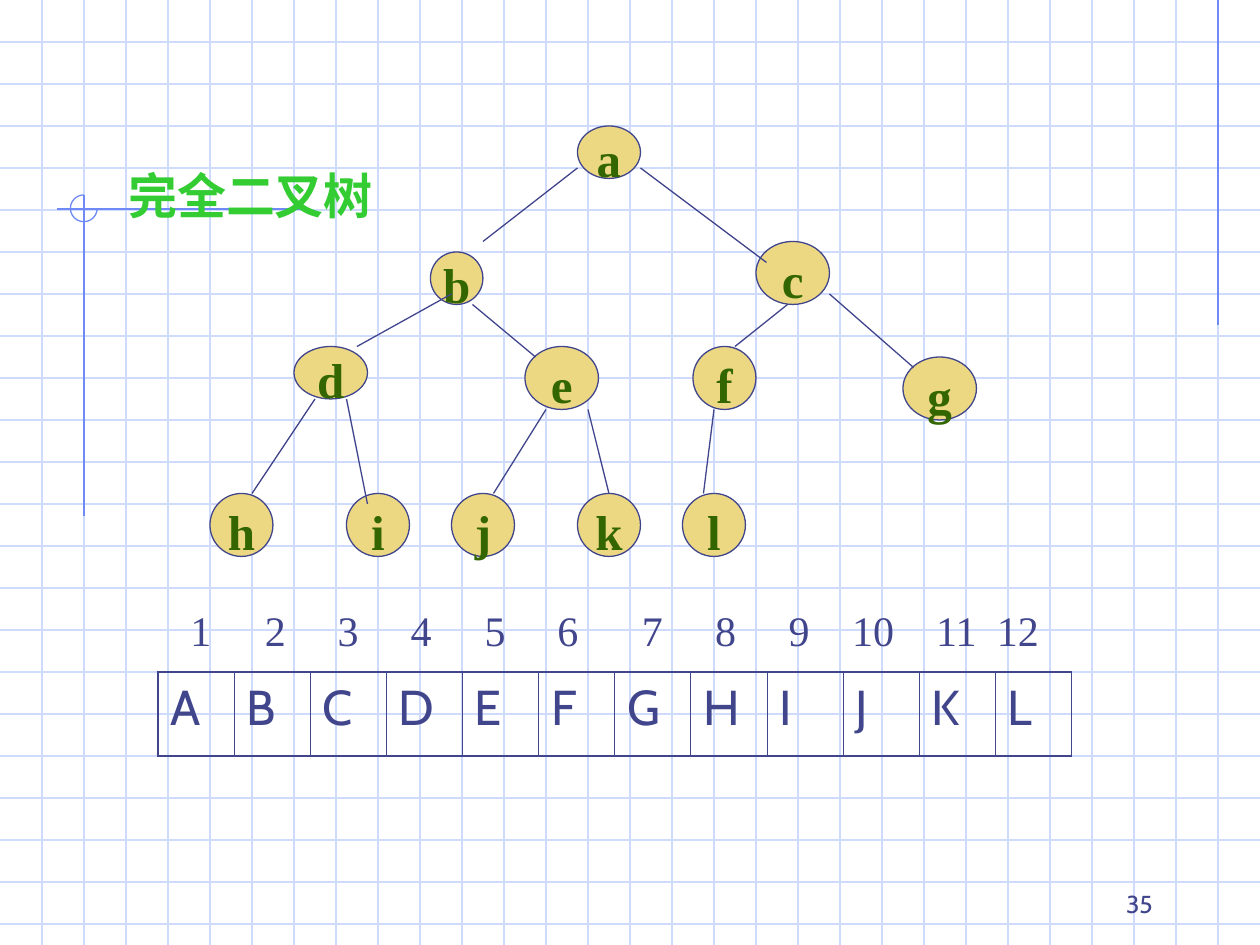
import pptx
import pptx.util
import pptx.oxml
import pptx.oxml.ns
from pptx.dml.color import RGBColor
from pptx.enum.shapes import MSO_CONNECTOR, MSO_SHAPE
from pptx.enum.text import MSO_ANCHOR, MSO_AUTO_SIZE, PP_ALIGN

Cm, Pt = pptx.util.Cm, pptx.util.Pt
C = {"grid": "CFDBFD", "accent": "6F89F7", "ink": "40458C",
     "node": "ECD882", "letter": "336600", "title": "33CC33"}
U = Cm(2.54) / 12  # layout unit: a twelfth of an inch


def put_text(tf, text, size=28, font="Cabin", color="ink", bold=False,
             align=PP_ALIGN.LEFT, anchor=MSO_ANCHOR.TOP, wrap=True, tabs=()):
    tf.auto_size = MSO_AUTO_SIZE.NONE
    tf.word_wrap = wrap
    tf.vertical_anchor = anchor
    p = tf.paragraphs[0]
    p.alignment = align
    p.space_before = Pt(0)
    if tabs:
        tab_list = pptx.oxml.parse_xml(
            f'<a:tabLst {pptx.oxml.ns.nsdecls("a")}>'
            + "".join(f'<a:tab pos="{Cm(t)}" algn="ctr"/>' for t in tabs) + "</a:tabLst>")
        p._p.get_or_add_pPr().append(tab_list)
    r = p.add_run()
    r.text = text
    r.font.size, r.font.name, r.font.bold = Pt(size), font, bold
    r.font.color.rgb = RGBColor.from_string(C[color])


def add_line(x1, y1, x2, y2, color="ink"):
    cn = s.shapes.add_connector(MSO_CONNECTOR.STRAIGHT, *(round(v * U) for v in (x1, y1, x2, y2)))
    cn.line.color.rgb = RGBColor.from_string(C[color])
    cn.line.width = Pt(0.75)
    cn._element.spPr.append(pptx.oxml.parse_xml(f'<a:effectLst {pptx.oxml.ns.nsdecls("a")}/>'))


prs = pptx.Presentation()
prs.slide_width, prs.slide_height = Cm(25.4), Cm(19.05)
s = prs.slides.add_slide(prs.slide_layouts[5])

# Squared-paper background
for y in range(4, 90, 4):
    add_line(0, y, 120, y, "grid")
for x in range(4, 120, 4):
    add_line(x, 0, x, 90, "grid")

# Accent lines and open circle
add_line(116, 0, 116, 31, "accent")
add_line(28.8, 19.9, 5.4, 19.9, "accent")
add_line(8, 18.6, 8, 49.1, "accent")
arc = s.shapes.add_shape(MSO_SHAPE.ARC, Cm(1.42), Cm(3.93), Cm(0.54), Cm(0.54))
arc.adjustments[0], arc.adjustments[1] = 0, 162  # 0 to 270 degrees
arc.shadow.inherit = False
arc.fill.background()
arc.line.color.rgb = RGBColor.from_string(C["accent"])
arc.line.width = Pt(0.75)

# Title, in front of the background
title = s.shapes.title
title.left, title.top, title.width, title.height = Cm(2.33), Cm(3.18), Cm(6.35), Cm(1.48)
put_text(title.text_frame, "完全二叉树", color="title", bold=True, anchor=MSO_ANCHOR.BOTTOM)
s.shapes.element.append(title.element)

# Array table
letters = "ABCDEFGHIJKL"
tbl = s.shapes.add_table(1, len(letters), Cm(3.18), Cm(13.55), Cm(18.42), Cm(1.69)).table
tbl.first_row = tbl.horz_banding = False
for i, letter in enumerate(letters):
    cell = tbl.cell(0, i)
    put_text(cell.text_frame, letter)
    widths = {"L": 0.45 if i else 1.08, "R": 1.08 if letter == letters[-1] else 0.45,
              "T": 1.08, "B": 1.08}
    for side, width in widths.items():
        cell._tc.get_or_add_tcPr().append(pptx.oxml.parse_xml(
            f'<a:ln{side} {pptx.oxml.ns.nsdecls("a")} w="{Pt(width)}"><a:solidFill>'
            f'<a:srgbClr val="{C["ink"]}"/></a:solidFill></a:ln{side}>'))
    cell.fill.background()

# Array positions
tb = s.shapes.add_textbox(Cm(3.18), Cm(12.07), Cm(18.87), Cm(1.27))
put_text(tb.text_frame, "".join(f"\t{n}" for n in range(1, 13)), size=24, font="Times New Roman",
         tabs=(0.62, 2.12, 3.59, 5.06, 6.55, 8.02, 9.72, 11.2, 12.68, 14.17, 15.85, 17.09))

# Tree nodes: left, top, width, height in layout units
nodes = {"a": (55, 12, 6, 5), "b": (41, 24, 5, 5), "c": (72, 23, 7, 6), "d": (28, 33, 7, 5),
         "e": (50, 33, 7, 6), "f": (66, 33, 6, 6), "g": (86, 34, 7, 6)}
for name, x in zip("hijkl", (20, 33, 43, 55, 65)):
    nodes[name] = (x, 47, 6, 6)
for name, box in nodes.items():
    sp = s.shapes.add_shape(MSO_SHAPE.OVAL, *(round(v * U) for v in box))
    sp.shadow.inherit = False
    sp.fill.solid()
    sp.fill.fore_color.rgb = RGBColor.from_string(C["node"])
    sp.line.color.rgb = RGBColor.from_string(C["ink"])
    sp.line.width = Pt(0.75)
    put_text(sp.text_frame, name, font="Times New Roman", color="letter", bold=True,
             align=PP_ALIGN.CENTER, anchor=MSO_ANCHOR.MIDDLE, wrap=False)
    sp.text_frame.margin_top = Cm(0.37)

# Tree edges
for edge in ((55, 16, 46, 23), (61, 16, 73, 25), (43, 28, 34, 33), (75, 29, 70, 33),
             (45, 29, 51, 34), (79, 28, 87, 35), (30, 38, 24, 47), (33, 38, 35, 48),
             (52, 39, 47, 47), (56, 39, 58, 47), (68, 39, 67, 47)):
    add_line(*edge)

# Page number
tb = s.shapes.add_textbox(Cm(18.2), Cm(17.36), Cm(5.29), Cm(1.27))
put_text(tb.text_frame, "35", size=14, align=PP_ALIGN.RIGHT, anchor=MSO_ANCHOR.BOTTOM)

prs.save("out.pptx")
